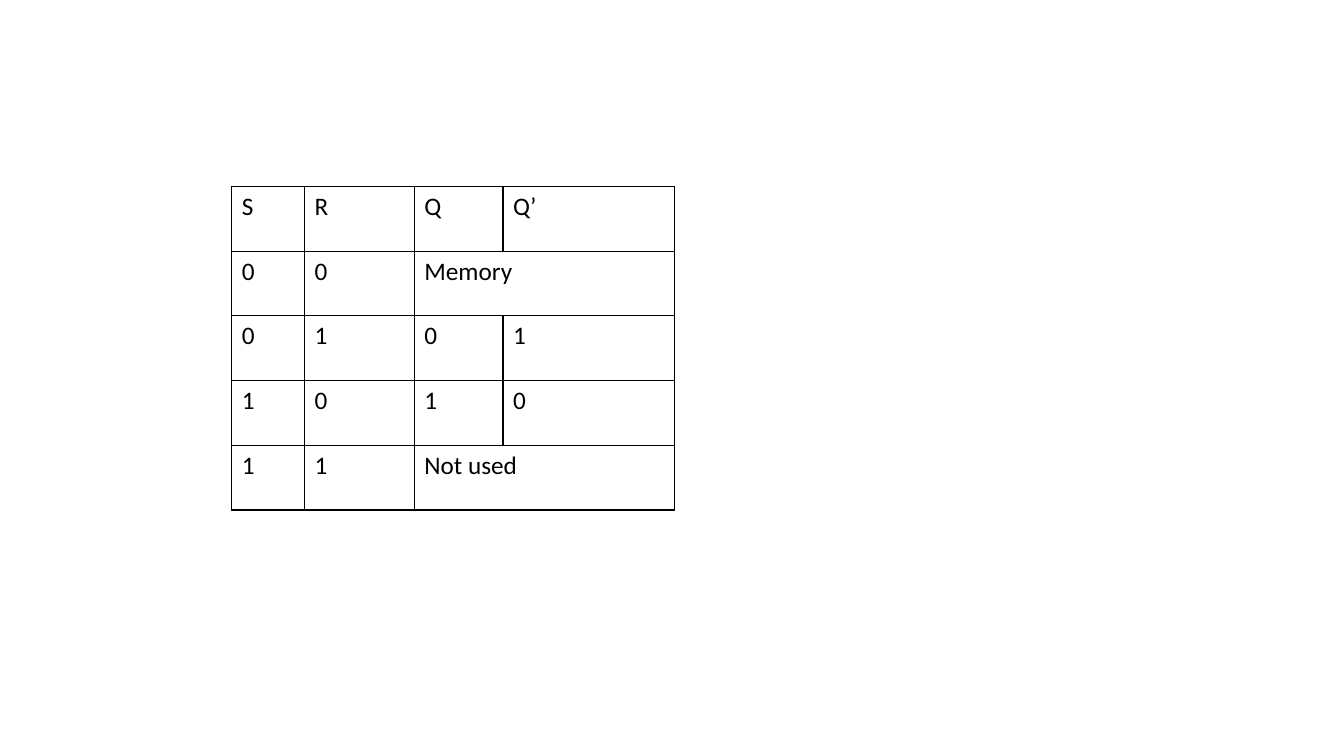
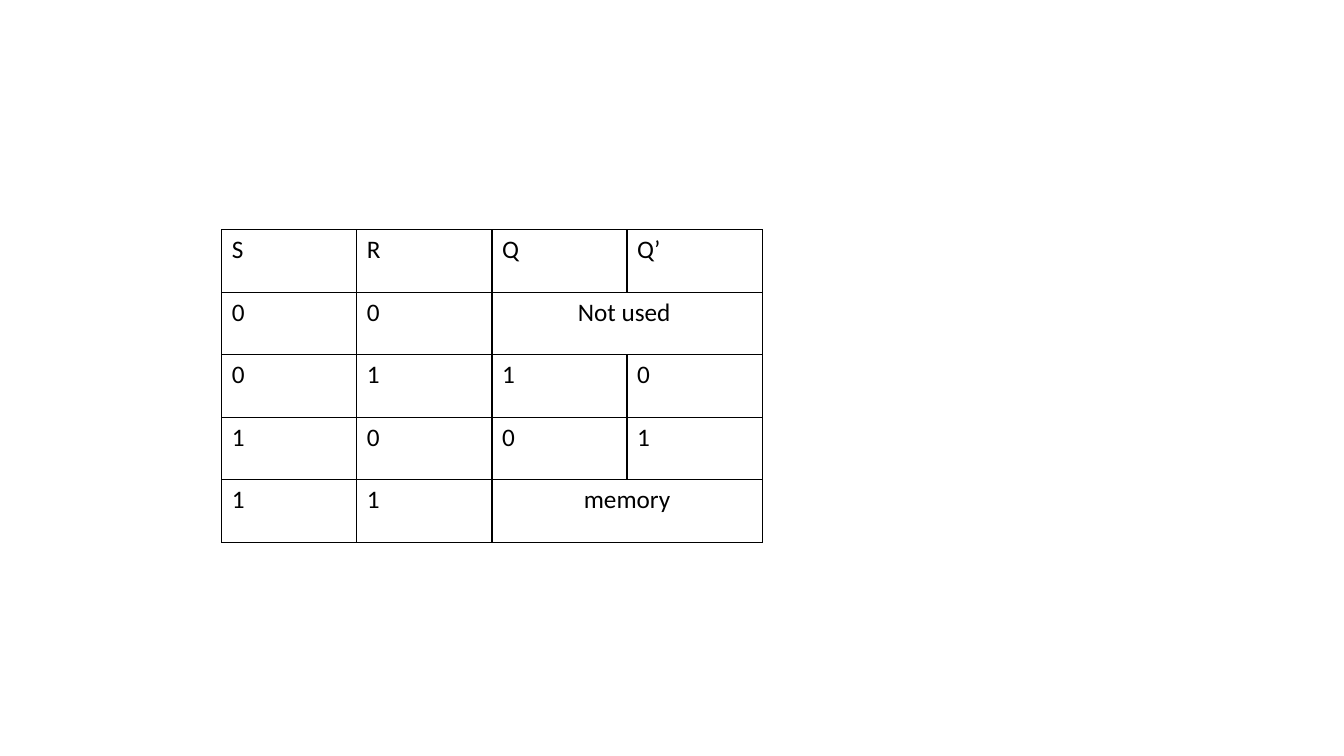
from dataclasses import dataclass

from lxml import etree
from pptx import Presentation
from pptx.dml.color import RGBColor
from pptx.enum.text import PP_ALIGN
from pptx.oxml.ns import qn
from pptx.util import Emu, Pt

LEFT, CENTER = PP_ALIGN.LEFT, PP_ALIGN.CENTER
SCALE = 9144  # EMU in one px, 100 px to the inch
BLANK = 6
SIDES = ("a:lnL", "a:lnR", "a:lnT", "a:lnB")


@dataclass(frozen=True)
class Theme:
    ink: str = "000000"
    paper: str = "FFFFFF"
    font: str = "Calibri"
    size: int = 18
    line: int = 1


def px(count):
    return Emu(count * SCALE)


class Deck:
    def __init__(self, theme):
        self.theme = theme
        self.deck = Presentation()
        self.deck.slide_width = px(1333)
        self.deck.slide_height = px(750)
        self.slide = None

    def page(self):
        layout = self.deck.slide_layouts[BLANK]
        self.slide = self.deck.slides.add_slide(layout)
        fill = self.slide.background.fill
        fill.solid()
        fill.fore_color.rgb = RGBColor.from_string(self.theme.paper)

    def border(self, cell):
        props = cell._tc.get_or_add_tcPr()
        for side in SIDES:
            line = etree.SubElement(props, qn(side), w=str(Pt(self.theme.line)))
            fill = etree.SubElement(line, qn("a:solidFill"))
            etree.SubElement(fill, qn("a:srgbClr"), val=self.theme.ink)

    def label(self, cell, text, align):
        para = cell.text_frame.paragraphs[0]
        para.alignment = align
        run = para.add_run()
        run.text = text
        run.font.name = self.theme.font
        run.font.size = Pt(self.theme.size)
        run.font.color.rgb = RGBColor.from_string(self.theme.ink)

    def table(self, left, top, widths, height, rows, align=LEFT):
        """Draw rows; the last cell of a short row spans the columns left over."""
        count = len(widths)
        frame = self.slide.shapes.add_table(
            len(rows), count, px(left), px(top), px(sum(widths)), px(height))
        table = frame.table
        table.first_row = table.horz_banding = False
        for col, width in zip(table.columns, widths):
            col.width = px(width)
        for row in table.rows:
            row.height = Emu(px(height) // len(rows))
        for cell in table.iter_cells():
            self.border(cell)
            cell.fill.background()
        for r, texts in enumerate(rows):
            last = len(texts) - 1
            short = len(texts) < count
            if short:
                table.cell(r, last).merge(table.cell(r, count - 1))
            for c, text in enumerate(texts):
                wide = short and c == last
                self.label(table.cell(r, c), text, align if wide else LEFT)

    def save(self):
        self.deck.save("out.pptx")


HEAD = ("S", "R", "Q", "Q’")


def main():
    deck = Deck(Theme())

    deck.page()
    deck.table(230, 185, (72, 109, 88, 170), 321, (
        HEAD,
        ("0", "0", "Memory"),
        ("0", "1", "0", "1"),
        ("1", "0", "1", "0"),
        ("1", "1", "Not used"),
    ))

    deck.page()
    deck.table(220, 228, (134,) * len(HEAD), 310, (
        HEAD,
        ("0", "0", "Not used "),
        ("0", "1", "1", "0"),
        ("1", "0", "0", "1"),
        ("1", "1", "memory"),
    ), align=CENTER)

    deck.save()


if __name__ == "__main__":
    main()
